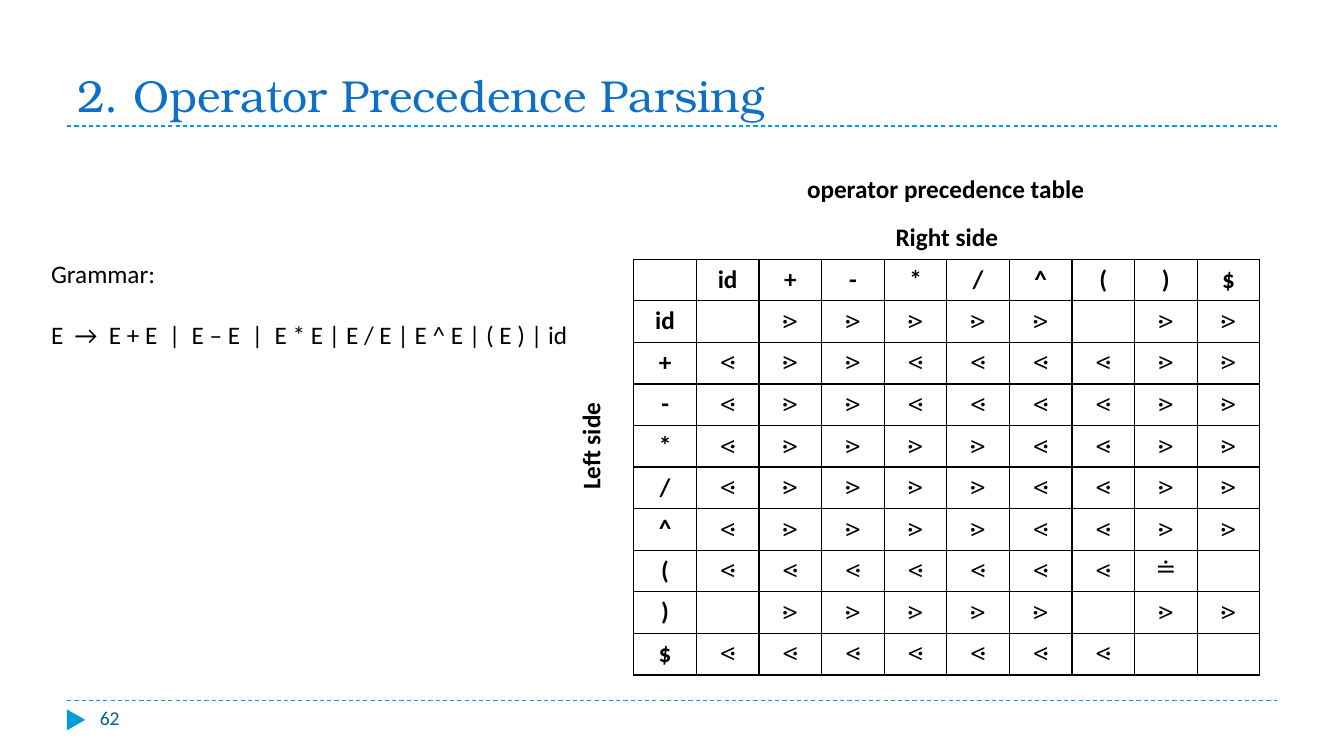
from lxml.etree import SubElement
from pptx import Presentation
from pptx.dml.color import RGBColor
from pptx.enum.dml import MSO_LINE_DASH_STYLE as Dash
from pptx.enum.shapes import MSO_CONNECTOR as Connector, MSO_SHAPE as Shape
from pptx.enum.text import MSO_ANCHOR as Anchor, MSO_AUTO_SIZE as AutoSize, PP_ALIGN as Align
from pptx.oxml import parse_xml
from pptx.oxml.ns import nsdecls, qn
from pptx.util import Inches, Pt

COLUMNS, ROWS = 80, 45
OPERATORS = ["id", "+", "-", "*", "/", "^", "(", ")", "$"]
RELATIONS = [
    " ⋗⋗⋗⋗⋗ ⋗⋗",
    "⋖⋗⋗⋖⋖⋖⋖⋗⋗",
    "⋖⋗⋗⋖⋖⋖⋖⋗⋗",
    "⋖⋗⋗⋗⋗⋖⋖⋗⋗",
    "⋖⋗⋗⋗⋗⋖⋖⋗⋗",
    "⋖⋗⋗⋗⋗⋖⋖⋗⋗",
    "⋖⋖⋖⋖⋖⋖⋖≐ ",
    " ⋗⋗⋗⋗⋗ ⋗⋗",
    "⋖⋖⋖⋖⋖⋖⋖  ",
]
NO_TABLE_STYLE = "{2D5ABB26-0587-4C30-8999-92F81FD0307C}"


def color(value):
    return RGBColor.from_string(value)


def write(frame, *lines, font="Calibri", size=18, ink="000000", bold=False,
          align=Align.LEFT, gap=0):
    for index, line in enumerate(lines):
        paragraph = frame.add_paragraph() if index else frame.paragraphs[0]
        paragraph.alignment = align
        if index:
            paragraph.space_before = Pt(gap)
        run = paragraph.add_run()
        run.text = line
        run.font.name = font
        run.font.size = Pt(size)
        run.font.bold = bold
        run.font.color.rgb = color(ink)


class LectureSlide:
    """Draws styled elements on a slide divided into a grid."""

    accent = "009DD9"
    border = "000000"

    def __init__(self, deck):
        self.slide = deck.slides.add_slide(deck.slide_layouts[6])
        self.column = deck.slide_width / COLUMNS
        self.row = deck.slide_height / ROWS

    def place(self, left, top, width, height):
        return (round(left * self.column), round(top * self.row),
                round(width * self.column), round(height * self.row))

    def rule(self, left, right, row):
        start, level, end, _ = self.place(left, row, right, 0)
        line = self.slide.shapes.add_connector(Connector.STRAIGHT, start, level, end, level)
        line.line.color.rgb = color(self.accent)
        line.line.width = Pt(0.75)
        line.line.dash_style = Dash.DASH
        SubElement(line._element.spPr, qn("a:effectLst"))

    def marker(self, *area):
        triangle = self.slide.shapes.add_shape(Shape.ISOSCELES_TRIANGLE, *self.place(*area))
        triangle.rotation = 90
        triangle.shadow.inherit = False
        triangle.fill.solid()
        triangle.fill.fore_color.rgb = color(self.accent)
        triangle.line.fill.background()

    def text(self, area, *lines, wrap=True, anchor=Anchor.TOP, grow=False, **style):
        frame = self.slide.shapes.add_textbox(*self.place(*area)).text_frame
        frame.word_wrap = wrap
        frame.vertical_anchor = anchor
        if grow:
            frame.auto_size = AutoSize.SHAPE_TO_FIT_TEXT
        write(frame, *lines, **style)

    def outline(self, cell):
        properties = cell._tc.get_or_add_tcPr()
        for position, side in enumerate(("lnL", "lnR", "lnT", "lnB")):
            properties.insert(position, parse_xml(
                f'<a:{side} {nsdecls("a")} w="{Pt(1)}"><a:solidFill>'
                f'<a:srgbClr val="{self.border}"/></a:solidFill></a:{side}>'))

    def precedence_table(self, *area):
        count = len(OPERATORS) + 2
        left, top, width, height = self.place(*area)
        table = self.slide.shapes.add_table(count, count, left, top, width, height).table
        table.first_row = table.horz_banding = False
        table._tbl.tblPr.find(qn("a:tableStyleId")).text = NO_TABLE_STYLE
        for column in table.columns:
            column.width = round(width / count)
        for row in table.rows:
            row.height = round(height / count)
        for row in range(count):
            for column in range(count):
                cell = table.cell(row, column)
                if min(row, column) > 1:
                    cell.fill.solid()
                    cell.fill.fore_color.rgb = color("FFFFFF")
                else:
                    cell.fill.background()
                if min(row, column) > 0:
                    self.outline(cell)

        heading = {"bold": True, "align": Align.CENTER}
        right_side, left_side = table.cell(0, 2), table.cell(1, 0)
        right_side.merge(table.cell(0, 9))
        left_side.merge(table.cell(9, 0))
        left_side._tc.get_or_add_tcPr().set("vert", "vert270")
        write(right_side.text_frame, "Right side", **heading)
        write(left_side.text_frame, "Left side", **heading)
        for row, (operator, relations) in enumerate(zip(OPERATORS, RELATIONS), 2):
            write(table.cell(1, row).text_frame, operator, **heading)
            write(table.cell(row, 1).text_frame, operator, **heading)
            for column, relation in enumerate(relations, 2):
                if relation != " ":
                    write(table.cell(row, column).text_frame, relation,
                          font="Times New Roman", align=Align.CENTER)


def main():
    deck = Presentation()
    deck.slide_width, deck.slide_height = Inches(13.33), Inches(7.5)
    page = LectureSlide(deck)
    for row in (41.7, 7.5):
        page.rule(4, 76, row)
    page.marker(3.9, 42.3, 1.25, 1.1)
    page.text((4, 1, 72, 6.5), "2. Operator Precedence Parsing",
              anchor=Anchor.BOTTOM, font="TeX Gyre Bonum", size=32, ink="0F6FC6")
    page.text((5.35, 41.7, 17.35, 2.4), "62", size=14, ink="04617B")
    page.text((2.45, 15.1, 33.05, 6.05), "Grammar:",
              "E  →  E + E  |  E – E  |  E * E | E / E | E ^ E | ( E ) | id",
              wrap=False, grow=True, gap=22)
    page.text((47.45, 10, 20.05, 2.4), "operator precedence table", grow=True, bold=True)
    page.precedence_table(34, 12.95, 41, 27.25)
    deck.save("out.pptx")


if __name__ == "__main__":
    main()
